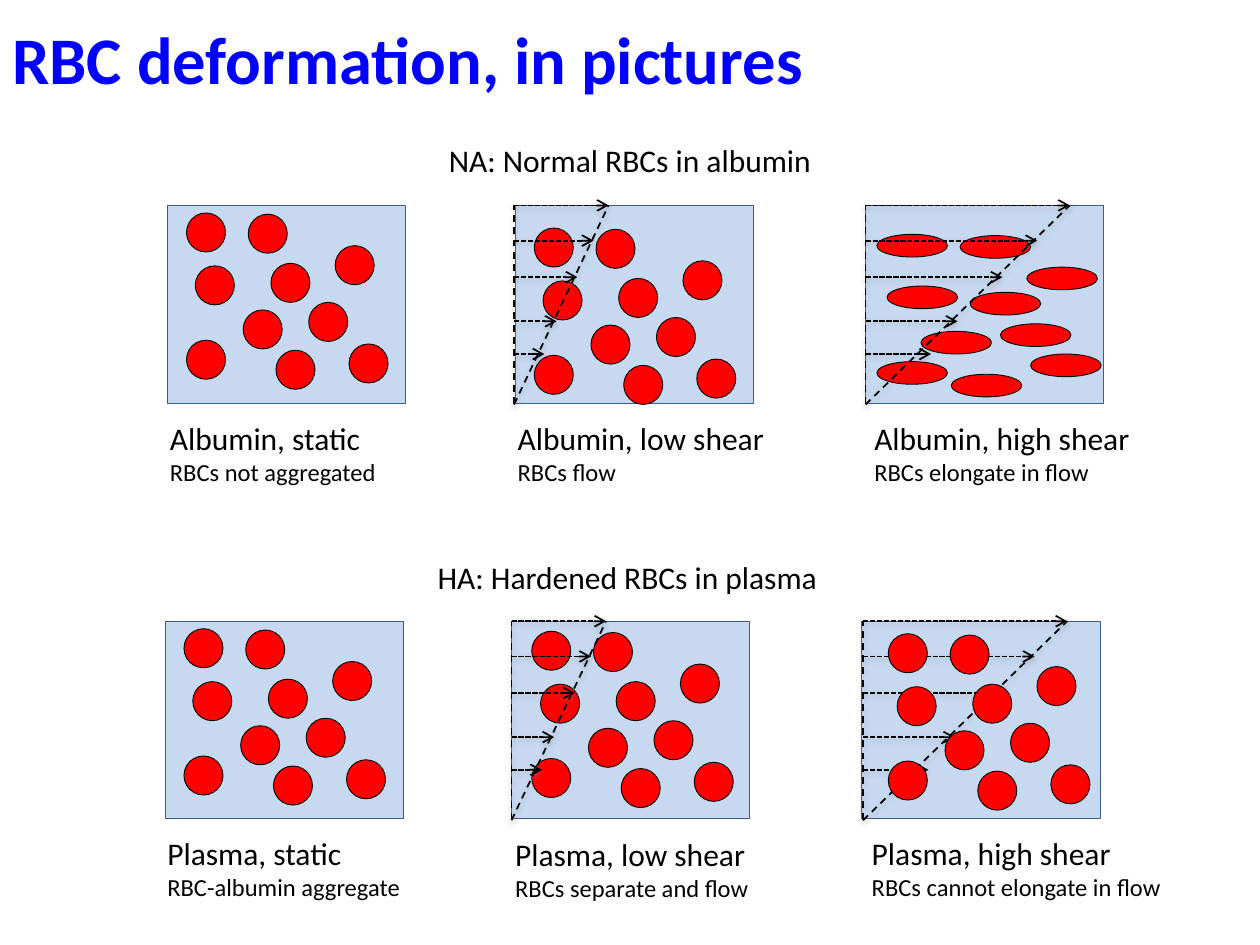
"""Builds a slide comparing red blood cell deformation in albumin and in plasma."""
from dataclasses import dataclass

from lxml import etree
from pptx import Presentation
from pptx.dml.color import RGBColor
from pptx.enum.dml import MSO_LINE
from pptx.enum.shapes import MSO_CONNECTOR, MSO_SHAPE
from pptx.enum.text import MSO_ANCHOR, MSO_AUTO_SIZE, PP_ALIGN
from pptx.oxml import parse_xml
from pptx.oxml.ns import nsdecls, qn
from pptx.util import Inches, Pt


@dataclass(frozen=True)
class Theme:
    font: str = "Calibri"
    title: RGBColor = RGBColor(0x00, 0x00, 0xFF)
    ink: RGBColor = RGBColor(0x00, 0x00, 0x00)
    fluid: RGBColor = RGBColor(0xC6, 0xD9, 0xF1)
    fluid_edge: RGBColor = RGBColor(0x3A, 0x5F, 0x8C)
    cell: RGBColor = RGBColor(0xFF, 0x00, 0x00)
    title_size: int = 38
    heading_size: int = 18
    note_size: int = 14
    edge_width: float = 0.5
    flow_width: float = 1


THEME = Theme()
PANEL_WIDTH, PANEL_HEIGHT, FLOW_HEIGHT = 1.89, 1.57, 1.58
ROUND, LONG = (0.31, 0.31), (0.56, 0.18)
ROUND_SPOTS = [(0.07, 0.42), (0.45, 0.77), (0.67, 0.4), (0.97, 0.71), (1.18, 0.26),
               (1.29, 1.04), (0.71, 1.09), (0, 1.01), (0, 0), (0.49, 0.01)]
LONG_SPOTS = [(0.08, 0.41), (0.35, 0.77), (0.74, 0.46), (0.98, 0.71), (1.19, 0.26),
              (1.22, 0.95), (0.59, 1.11), (0, 1.01), (0, 0), (0.66, 0.01)]
FLOW_ARROWS = [(0, 1), (0.28, 0.84), (0.57, 0.67), (0.92, 0.45), (1.18, 0.32)]
SHADOW = f"""<a:effectLst {nsdecls("a")}>
  <a:outerShdw blurRad="40000" dist="20000" dir="5400000" rotWithShape="0">
    <a:srgbClr val="808080"><a:alpha val="38000"/></a:srgbClr>
  </a:outerShdw>
</a:effectLst>"""

deck = Presentation()
deck.slide_width, deck.slide_height = Inches(10), Inches(7.5)
page = deck.slides.add_slide(deck.slide_layouts[6])


def add_text(left, top, width, height, lines, color=THEME.ink, wrap=True):
    box = page.shapes.add_textbox(Inches(left), Inches(top), Inches(width), Inches(height))
    frame = box.text_frame
    frame.text = "\n".join(words for words, size in lines)
    frame.word_wrap = wrap
    frame.auto_size = MSO_AUTO_SIZE.SHAPE_TO_FIT_TEXT
    for para, (words, size) in zip(frame.paragraphs, lines):
        font = para.runs[0].font
        font.name, font.size, font.color.rgb = THEME.font, Pt(size), color
    return frame


def add_filled(kind, left, top, size, fill, edge):
    shape = page.shapes.add_shape(kind, Inches(left), Inches(top), *map(Inches, size))
    shape.shadow.inherit = False
    shape.fill.solid()
    shape.fill.fore_color.rgb = fill
    shape.line.color.rgb = edge
    shape.line.width = Pt(THEME.edge_width)


title = add_text(0, 0.02, 10, 0.88, [("RBC deformation, in pictures", THEME.title_size)], THEME.title)
title.auto_size = MSO_AUTO_SIZE.NONE
title.vertical_anchor = MSO_ANCHOR.MIDDLE
title.paragraphs[0].runs[0].font.bold = True

for left, top, heading in [(0, 1.07, "NA: Normal RBCs in albumin"),
                           (-0.02, 4.38, "HA: Hardened RBCs in plasma")]:
    row_title = add_text(left, top, 10, 0.4, [(heading, THEME.heading_size)])
    row_title.paragraphs[0].alignment = PP_ALIGN.CENTER

panels = [
    (1.33, 1.63, (1.48, 1.69), ROUND, None, False,
     (1.25, 3.28, 1.85), "Albumin, static", "RBCs not aggregated"),
    (4.09, 1.63, (4.24, 1.81), ROUND, (4.08, 0.75), False,
     (4.01, 3.28, 2.18), "Albumin, low shear", "RBCs flow"),
    (6.87, 1.63, (6.96, 1.86), LONG, (6.87, 1.62), False,
     (6.84, 3.28, 2.25), "Albumin, high shear", "RBCs elongate in flow"),
    (1.31, 4.93, (1.46, 4.99), ROUND, None, False,
     (1.23, 6.57, 2.07), "Plasma, static", "RBC-albumin aggregate"),
    (4.06, 4.93, (4.22, 5.01), ROUND, (4.06, 0.75), False,
     (3.99, 6.58, 2.07), "Plasma, low shear", "RBCs separate and flow"),
    (6.84, 4.93, (7.05, 5.03), ROUND, (6.85, 1.62), True,
     (6.82, 6.57, 2.52), "Plasma, high shear", "RBCs cannot elongate in flow"),
]

for left, top, cell_origin, cell_size, flow, cells_in_front, caption, heading, note in panels:
    add_filled(MSO_SHAPE.RECTANGLE, left, top, (PANEL_WIDTH, PANEL_HEIGHT), THEME.fluid, THEME.fluid_edge)
    caption_left, caption_top, caption_width = caption
    add_text(caption_left, caption_top, caption_width, 0.64,
             [(heading, THEME.heading_size), (note, THEME.note_size)], wrap=False)

    for layer in ("flow", "cells") if cells_in_front else ("cells", "flow"):
        if layer == "cells":
            for across, down in LONG_SPOTS if cell_size == LONG else ROUND_SPOTS:
                add_filled(MSO_SHAPE.OVAL, cell_origin[0] + across, cell_origin[1] + down,
                           cell_size, THEME.cell, THEME.ink)
        elif flow:
            wall, reach = flow
            bottom = top + FLOW_HEIGHT
            strokes = [(bottom, wall, top, False), (bottom, wall + reach, top, False)]
            strokes += [(top + down, wall + reach * share, top + down, True)
                        for down, share in FLOW_ARROWS]
            profile = page.shapes.add_group_shape()
            for start_y, end_x, end_y, is_arrow in strokes:
                stroke = profile.shapes.add_connector(
                    MSO_CONNECTOR.STRAIGHT, Inches(wall), Inches(start_y), Inches(end_x), Inches(end_y))
                stroke.line.color.rgb = THEME.ink
                stroke.line.width = Pt(THEME.flow_width)
                stroke.line.dash_style = MSO_LINE.SQUARE_DOT if is_arrow else MSO_LINE.DASH
                if is_arrow:
                    etree.SubElement(stroke.line._get_or_add_ln(), qn("a:tailEnd"), type="arrow")
                stroke._element.spPr.append(parse_xml(SHADOW))

deck.save("out.pptx")
